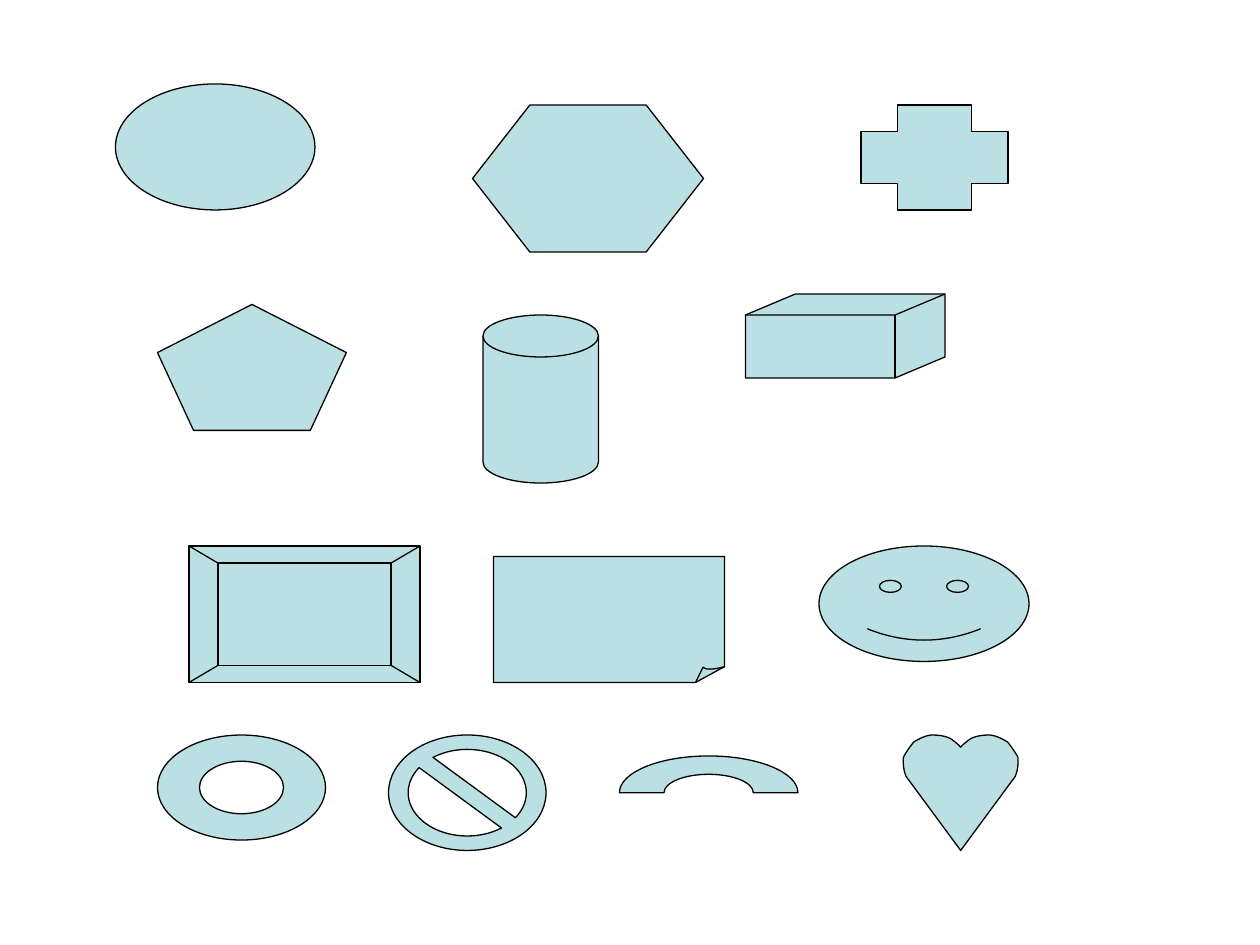
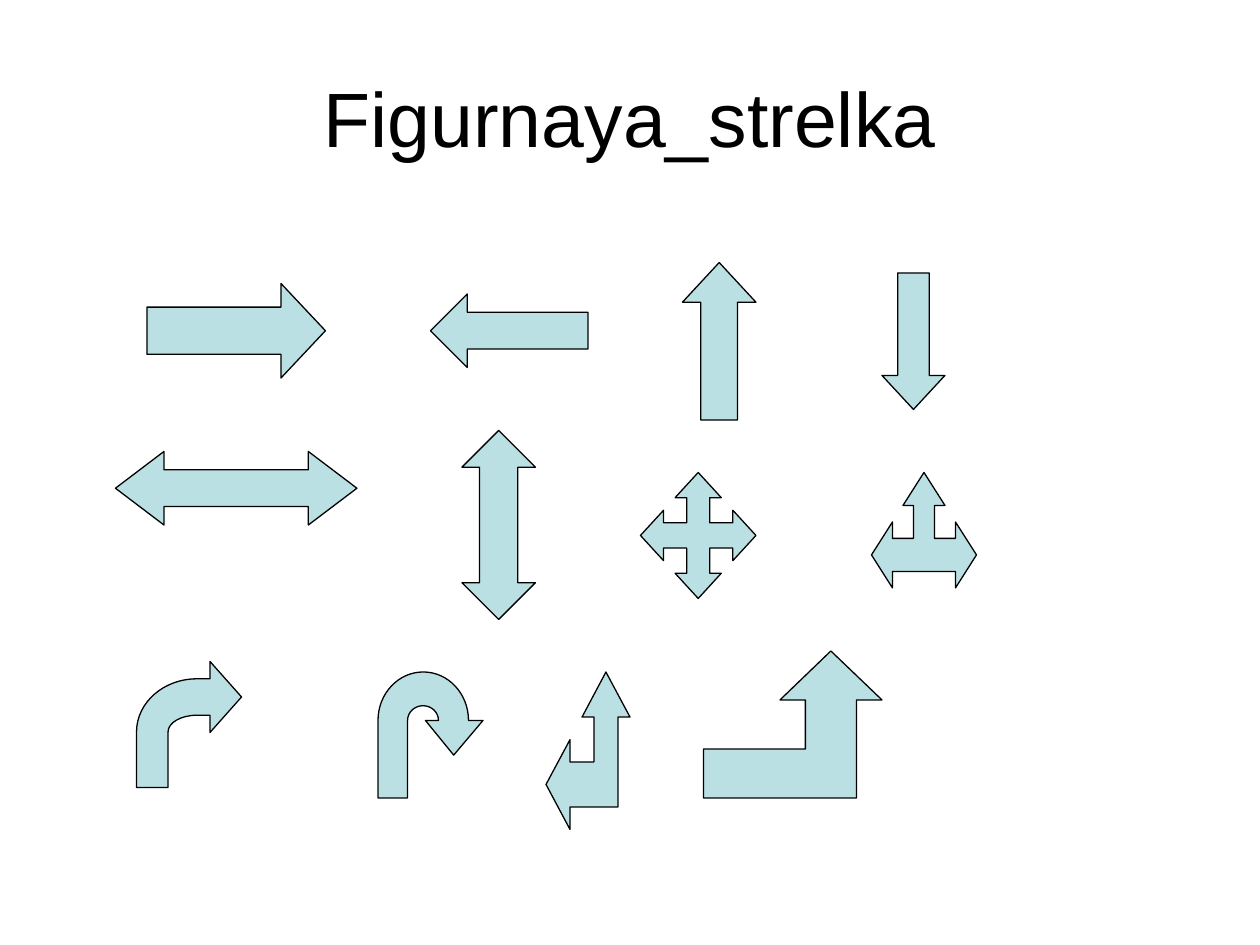
import math
from dataclasses import dataclass

import lxml.etree
import pptx
import pptx.dml.color
import pptx.enum.shapes
import pptx.enum.text
import pptx.oxml.ns
import pptx.util

Cm = pptx.util.Cm
MSO_SHAPE = pptx.enum.shapes.MSO_SHAPE
RGBColor = pptx.dml.color.RGBColor
qn = pptx.oxml.ns.qn


@dataclass(frozen=True)
class Theme:
    fill: RGBColor = RGBColor(0xBB, 0xE0, 0xE3)
    ink: RGBColor = RGBColor(0, 0, 0)
    font: str = "Arial"
    title_size: int = 44
    outline: float = 0.75


THEME = Theme()
STEP = 2.54 / 12


def arc(cx, cy, rx, ry, start, end):
    count = math.ceil(abs(end - start) / 90)
    turn = math.radians(end - start) / count
    pull = 4 / 3 * math.tan(turn / 4)
    steps = [(cx + rx * math.cos(math.radians(start)), cy + ry * math.sin(math.radians(start)))]
    for i in range(count):
        a = math.radians(start) + i * turn
        b = a + turn
        unit = [
            (math.cos(a) - pull * math.sin(a), math.sin(a) + pull * math.cos(a)),
            (math.cos(b) + pull * math.sin(b), math.sin(b) - pull * math.cos(b)),
            (math.cos(b), math.sin(b)),
        ]
        steps.append(tuple(v for x, y in unit for v in (cx + rx * x, cy + ry * y)))
    return steps


def ring(radius, start=0, end=360):
    return arc(50, 50, radius, radius, start, end)


def mirrored(half):
    return half + [(100 - x, y) for x, y in reversed(half) if x != 50]


def curved(points):
    triples = zip(points[1::3], points[2::3], points[3::3])
    return points[:1] + [a + b + c for a, b, c in triples]


def turned_four_times(quarter):
    outline = []
    for _ in range(4):
        outline += quarter
        quarter = [(y, 100 - x) for x, y in quarter]
    return outline


BEVEL_OUTER = [(0, 0), (0, 100), (100, 100), (100, 0)]
BEVEL_INNER = [(12.5, 12.5), (12.5, 87.5), (87.5, 87.5), (87.5, 12.5)]
HEART_HALF = [
    (97.4, 35.7), (99.6, 30.2), (100, 24.8), (99.6, 19.3), (97.4, 15), (94.1, 10.6),
    (90.8, 6.2), (85.4, 2.9), (81, 0.8), (75.6, 0), (69, 0), (63.6, 0.8),
    (59.2, 2.9), (55.9, 5.1), (51.6, 8.4), (50, 10.6),
]
CROSS_HALF = [(25, 0), (25, 25), (0, 25), (0, 75), (25, 75), (25, 100)]
SMILE = [(23, 71.7), (41, 84.8, 59, 84.8, 77, 71.7)]
QUAD_QUARTER = [(50, 0), (30, 20), (40, 20), (40, 40), (20, 40), (20, 30)]
THREE_WAY_HALF = [
    (50, 0), (30, 28.6), (40, 28.6), (40, 57.1), (20, 57.1), (20, 42.9),
    (0, 71.4), (20, 100), (20, 85.7),
]
BENT_ARROW = [
    (100, 28.2), (70, 0), (70, 13.8), *arc(57.5, 56, 57.5, 42.2, 270, 180),
    (0, 100), (30, 100), *arc(57.5, 56, 27.5, 13.3, 180, 270), (70, 42.7), (70, 56.4),
]
U_TURN = [
    (72.1, 66), (100, 38.5), *arc(43.1, 38.5, 43.1, 38.5, 0, -180)[1:],
    (0, 100), (28.2, 100), *arc(42.9, 38.5, 14.7, 11.7, 180, 360), (45.2, 38.5),
]
U_TURN.insert(2, (86.2, 38.5))
LEFT_UP = [
    (71.4, 0), (42.9, 28.6), (57.1, 28.6), (57.1, 57.1), (28.6, 57.1), (28.6, 42.9),
    (0, 71.4), (28.6, 100), (28.6, 85.7), (85.7, 85.7), (85.7, 28.6), (100, 28.6),
]
BENT_UP = [
    (71.4, 0), (42.9, 33.3), (57.1, 33.3), (57.1, 66.7), (0, 66.7), (0, 100),
    (85.7, 100), (85.7, 33.3), (100, 33.3),
]

BASIC_FIGURES = [
    {"box": (11, 8, 19, 12), "preset": MSO_SHAPE.OVAL},
    {"box": (45, 10, 22, 14), "preset": MSO_SHAPE.HEXAGON, "adjust": (0.39,)},
    {"box": (82, 10, 14, 10), "outlines": [mirrored(CROSS_HALF)]},
    {"box": (15, 29, 18, 12), "preset": MSO_SHAPE.REGULAR_PENTAGON},
    {
        "box": (46, 30, 11, 16),
        "outlines": [arc(50, 12.5, 50, 12.5, 180, 360) + arc(50, 87.5, 50, 12.5, 0, 180)],
        "details": [arc(50, 12.5, 50, 12.5, 180, 0)],
    },
    {
        "box": (71, 28, 19, 8),
        "outlines": [[(25, 0), (0, 25), (0, 100), (75, 100), (100, 75), (100, 0)]],
        "details": [[(0, 25), (75, 25), (100, 0)], [(75, 25), (75, 100)]],
    },
    {
        "box": (18, 52, 22, 13),
        "outlines": [BEVEL_OUTER],
        "details": [BEVEL_INNER + BEVEL_INNER[:1], *zip(BEVEL_OUTER, BEVEL_INNER)],
    },
    {
        "box": (47, 53, 22, 12),
        "outlines": [[(0, 0), (0, 100), (87.5, 100), (100, 87.5), (100, 0)]],
        "details": [[(87.5, 100), (90.7, 88), (91.8, 90, 95, 90, 100, 87.5)]],
    },
    {
        "box": (78, 52, 20, 11),
        "outlines": [ring(50)],
        "details": [arc(x, 35, 5.2, 5.2, 0, 360) for x in (34, 66)] + [SMILE],
    },
    {"box": (15, 70, 16, 10), "outlines": [ring(50), ring(25, 360, 0)]},
    {
        "box": (37, 70, 15, 11),
        "outlines": [ring(50, 360, 0), ring(37.5, 234.6, 395.4), ring(37.5, 54.6, 215.4)],
    },
    {"box": (59, 72, 17, 7), "outlines": [ring(50, 180, 360) + ring(25, 360, 180)]},
    {"box": (86, 70, 11, 11), "outlines": [curved(mirrored(HEART_HALF)) + [(50, 100)]]},
]

ARROWS_TITLE = "Figurnaya_strelka"
TITLE_BOX = (6, 3.6, 108, 15)
ARROWS = [
    {"box": (14, 27, 17, 9), "preset": MSO_SHAPE.RIGHT_ARROW, "adjust": (0.5, 0.47)},
    {"box": (41, 28, 15, 7), "preset": MSO_SHAPE.LEFT_ARROW, "adjust": (0.5, 0.5)},
    {"box": (65, 25, 7, 15), "preset": MSO_SHAPE.UP_ARROW, "adjust": (0.5, 0.54)},
    {"box": (84, 26, 6, 13), "preset": MSO_SHAPE.DOWN_ARROW, "adjust": (0.5, 0.54)},
    {"box": (11, 43, 23, 7), "preset": MSO_SHAPE.LEFT_RIGHT_ARROW, "adjust": (0.5, 0.66)},
    {"box": (44, 41, 7, 18), "preset": MSO_SHAPE.UP_DOWN_ARROW, "adjust": (0.5, 0.52)},
    {"box": (61, 45, 11, 12), "outlines": [turned_four_times(QUAD_QUARTER)]},
    {"box": (83, 45, 10, 11), "outlines": [mirrored(THREE_WAY_HALF)]},
    {"box": (13, 63, 10, 12), "outlines": [BENT_ARROW]},
    {"box": (36, 64, 10, 12), "outlines": [U_TURN]},
    {"box": (52, 64, 8, 15), "outlines": [LEFT_UP]},
    {"box": (67, 62, 17, 14), "outlines": [BENT_UP]},
]


def placed(box):
    return [Cm(STEP * side) for side in box]


def add_contours(geometry, contours, closed):
    stroke = lxml.etree.SubElement(geometry, qn("a:path"), w="10000", h="10000")
    if not closed:
        stroke.set("fill", "none")
    for contour in contours:
        for index, numbers in enumerate(contour):
            tag = "a:moveTo" if index == 0 else "a:lnTo" if len(numbers) == 2 else "a:cubicBezTo"
            step = lxml.etree.SubElement(stroke, qn(tag))
            for x, y in zip(numbers[::2], numbers[1::2]):
                lxml.etree.SubElement(
                    step, qn("a:pt"), x=str(round(x * 100)), y=str(round(y * 100))
                )
        if closed:
            lxml.etree.SubElement(stroke, qn("a:close"))


def trace(slide, box, outlines, details):
    left, top, width, height = placed(box)
    right, bottom = left + width, top + height
    builder = slide.shapes.build_freeform(left, top)
    builder.add_line_segments([(right, top), (right, bottom), (left, bottom)])
    figure = builder.convert_to_shape()
    geometry = figure.element.find(".//" + qn("a:pathLst"))
    geometry.clear()
    add_contours(geometry, outlines, closed=True)
    for detail in details:
        add_contours(geometry, [detail], closed=False)
    return figure


def draw(slide, box, preset=None, adjust=(), outlines=(), details=()):
    if preset is None:
        figure = trace(slide, box, outlines, details)
    else:
        figure = slide.shapes.add_shape(preset, *placed(box))
        for index, value in enumerate(adjust):
            figure.adjustments[index] = value
    figure.shadow.inherit = False
    figure.fill.solid()
    figure.fill.fore_color.rgb = THEME.fill
    figure.line.color.rgb = THEME.ink
    figure.line.width = pptx.util.Pt(THEME.outline)


def add_title(slide, wording):
    frame = slide.shapes.add_textbox(*placed(TITLE_BOX)).text_frame
    frame.word_wrap = True
    frame.vertical_anchor = pptx.enum.text.MSO_ANCHOR.MIDDLE
    frame.text = wording
    heading = frame.paragraphs[0]
    heading.alignment = pptx.enum.text.PP_ALIGN.CENTER
    heading.font.name = THEME.font
    heading.font.size = pptx.util.Pt(THEME.title_size)
    heading.font.color.rgb = THEME.ink


def main():
    deck = pptx.Presentation()
    deck.slide_width, deck.slide_height = Cm(25.4), Cm(19.05)
    for title, figures in [(None, BASIC_FIGURES), (ARROWS_TITLE, ARROWS)]:
        slide = deck.slides.add_slide(deck.slide_layouts[6])
        if title:
            add_title(slide, title)
        for figure in figures:
            draw(slide, **figure)
    deck.save("out.pptx")


if __name__ == "__main__":
    main()
